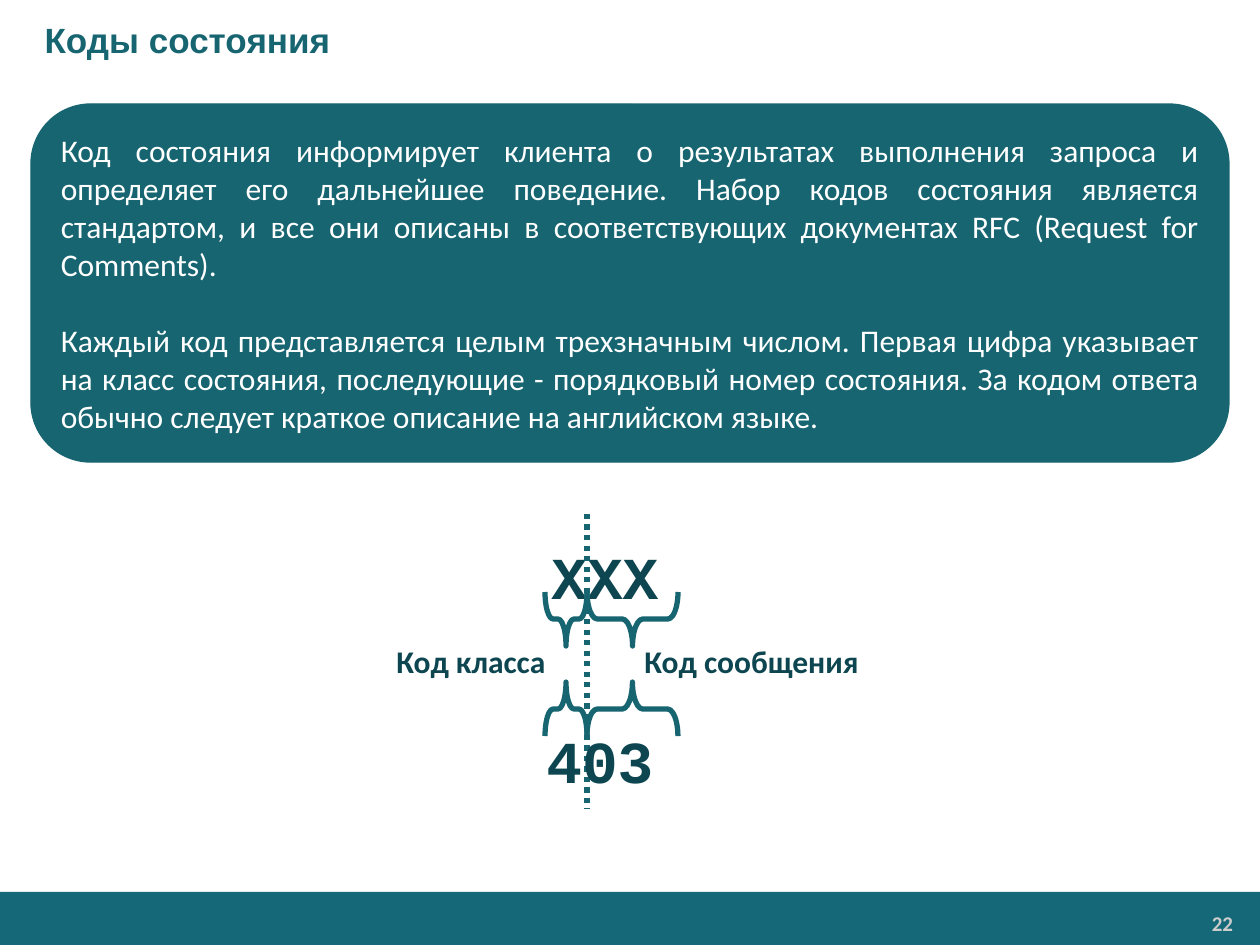
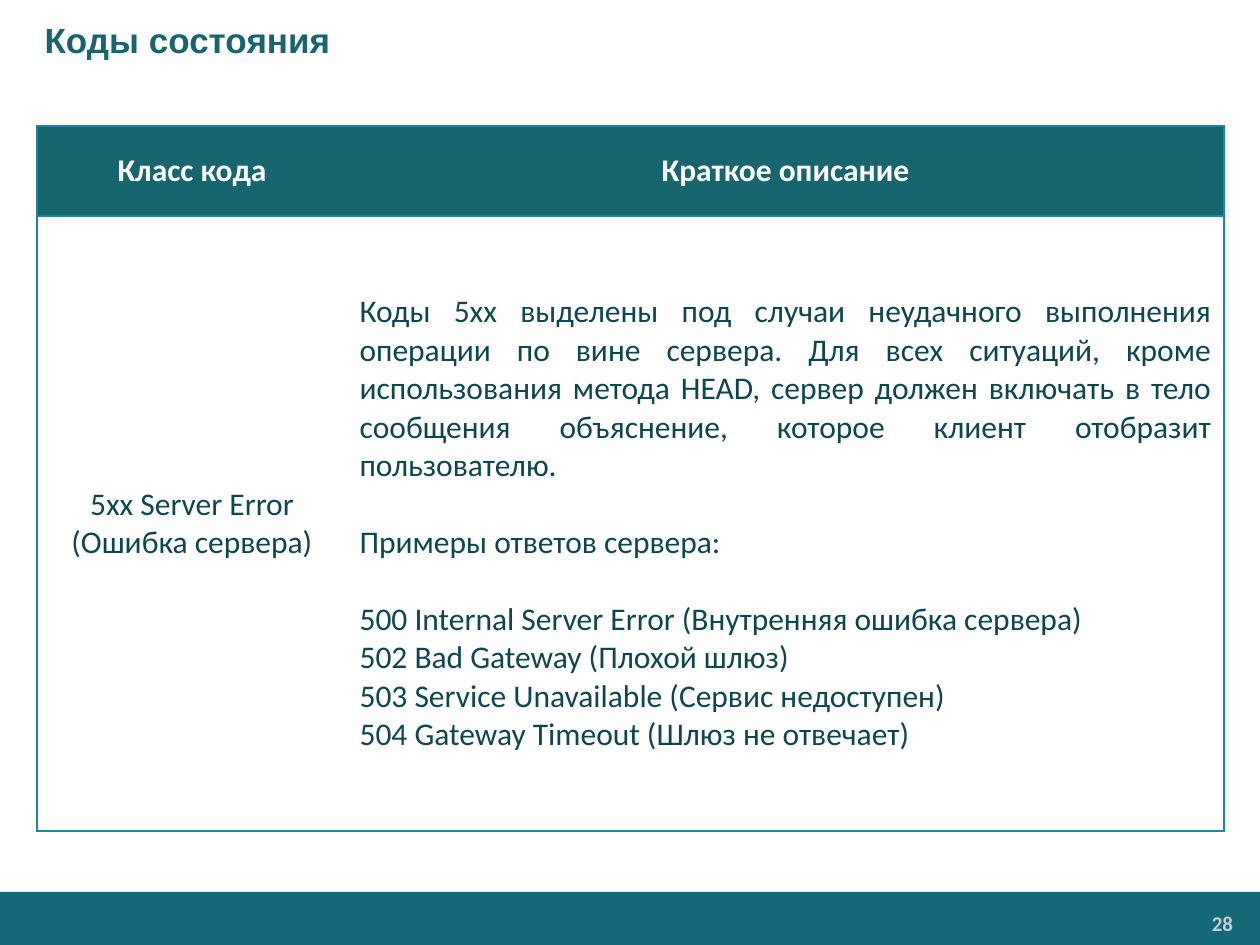
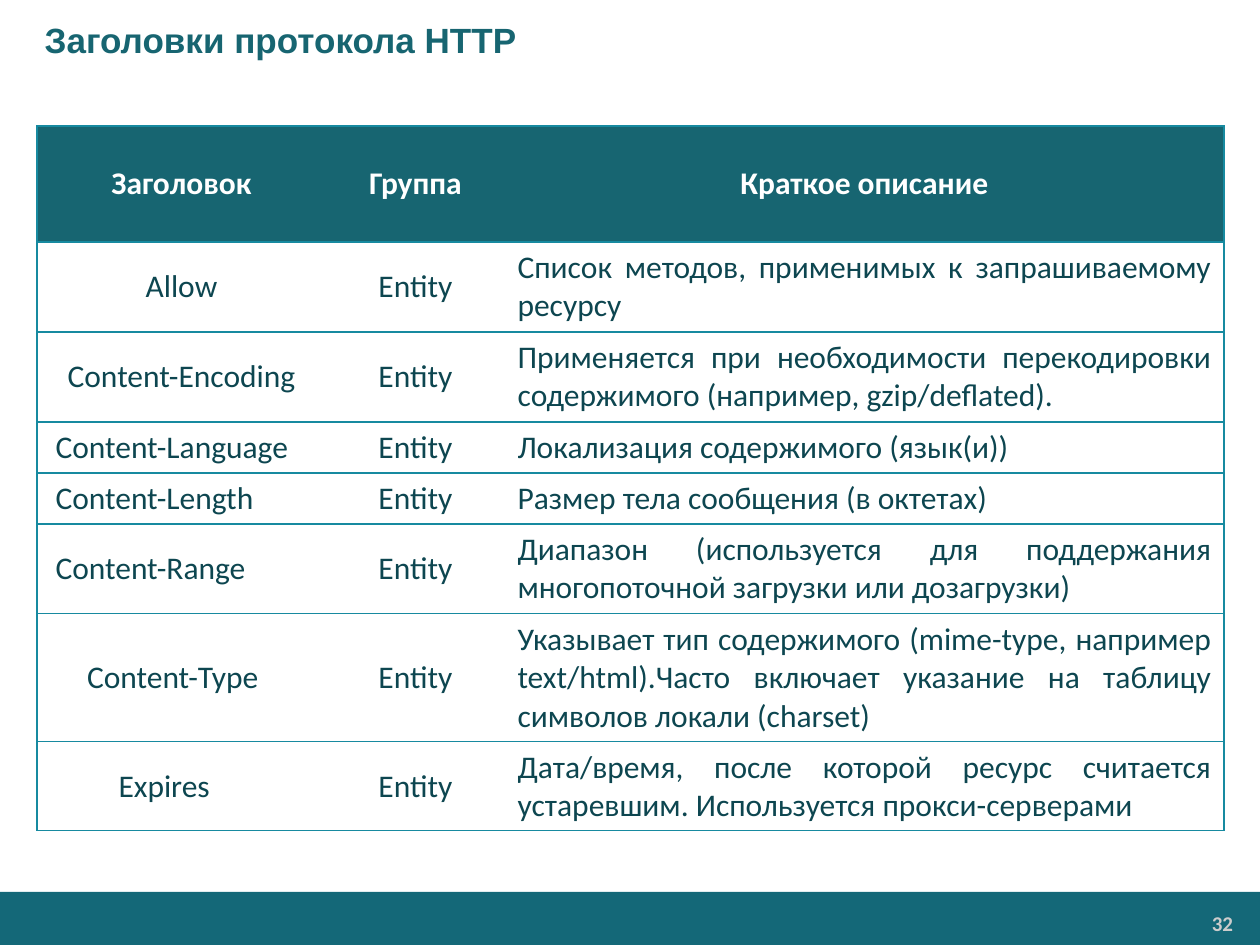
from lxml import etree
from pptx import Presentation
from pptx.dml.color import RGBColor
from pptx.enum.dml import MSO_LINE
from pptx.enum.shapes import MSO_CONNECTOR, MSO_SHAPE
from pptx.enum.text import MSO_ANCHOR, MSO_AUTO_SIZE, PP_ALIGN
from pptx.oxml.ns import qn
from pptx.util import Emu, Pt

COLORS = {
    "band": "146878", "teal": "176571", "ink": "0D4650",
    "rule": "178AA0", "number": "CCCCCC", "white": "FFFFFF",
}
# Font, size in points, colour, bold
TITLE = ("Arial", 20, "teal", True)
NUMBER = ("Calibri", 12, "number", True)
PANEL = ("Calibri", 18, "white", False)
HEADER = ("Calibri", 18, "white", True)
BODY = ("Calibri", 18, "ink", False)
LABEL = ("Calibri", 18, "ink", True)
CODE = ("Courier New", 34, "ink", True)
BLOCK_GAP = Pt(22)

SLIDE_WIDTH, SLIDE_HEIGHT = 1260, 945
TABLE_LEFT, TABLE_TOP = 37, 126

STATUS_INTRO = (
    "Код состояния информирует клиента о результатах выполнения запроса и определяет его "
    "дальнейшее поведение. Набор кодов состояния является стандартом, и все они описаны в "
    "соответствующих документах RFC (Request for Comments).",
    "Каждый код представляется целым трехзначным числом. Первая цифра указывает на класс "
    "состояния, последующие - порядковый номер состояния. За кодом ответа обычно следует "
    "краткое описание на английском языке.",
)
CODE_PATTERN = ("XXX", (539, 534, 142, 84))
CODE_EXAMPLE = ("403", (534, 718, 142, 84))
DIGIT_LABELS = [
    ("Код класса", (384, 636, 175, 50)),
    ("Код сообщения", (632, 636, 243, 50)),
]
DIGIT_SPANS = [(545, 42), (587, 91)]  # left, width
BRACE_ROWS = [(619, 90), (709, 270)]  # centre, rotation
BRACE_DEPTH = 54
DIVIDER = (587, 514, 809)  # x, top, bottom

SERVER_ERRORS = {
    "columns": (310, 877),
    "rows": (90, 615),
    "cells": [
        ("Класс кода", "Краткое описание"),
        ("5xx Server Error (Ошибка сервера)", (
            "Коды 5xx выделены под случаи неудачного выполнения операции по вине сервера. "
            "Для всех ситуаций, кроме использования метода HEAD, сервер должен включать в "
            "тело сообщения объяснение, которое клиент отобразит пользователю.",
            "Примеры ответов сервера:",
            "500 Internal Server Error (Внутренняя ошибка сервера)\n"
            "502 Bad Gateway (Плохой шлюз)\n"
            "503 Service Unavailable (Сервис недоступен)\n"
            "504 Gateway Timeout (Шлюз не отвечает)",
        )),
    ],
}
HTTP_HEADERS = {
    "columns": (289, 179, 719),
    "rows": (116, 90, 90, 51, 51, 90, 128, 89),
    "cells": [
        ("Заголовок", "Группа", "Краткое описание"),
        ("Allow", "Entity", "Список методов, применимых к запрашиваемому ресурсу"),
        ("Content-Encoding", "Entity",
         "Применяется при необходимости перекодировки содержимого "
         "(например, gzip/deflated)."),
        ("Content-Language\t", "Entity", "Локализация содержимого (язык(и))"),
        ("Content-Length\t", "Entity", "Размер тела сообщения (в октетах)"),
        ("Content-Range\t", "Entity",
         "Диапазон (используется для поддержания многопоточной загрузки или дозагрузки)"),
        ("Content-Type\t", "Entity",
         "Указывает тип содержимого (mime-type, например text/html).Часто включает "
         "указание на таблицу символов локали (charset)"),
        ("Expires\t", "Entity",
         "Дата/время, после которой ресурс считается устаревшим. "
         "Используется прокси-серверами"),
    ],
}


def px(length):
    return Emu(round(length * 914400 / 126))


def box_emu(box):
    return [px(length) for length in box]


def rgb(name):
    return RGBColor.from_string(COLORS[name])


def write_text(frame, blocks, look, align=PP_ALIGN.LEFT):
    """Write one block or a tuple of blocks; a gap parts blocks, a newline parts lines."""
    if isinstance(blocks, str):
        blocks = (blocks,)
    lines = [(line, block > 0 and row == 0)
             for block, text in enumerate(blocks)
             for row, line in enumerate(text.split("\n"))]
    frame.text = "\n".join(line for line, _ in lines)
    font_name, size, color, bold = look
    for paragraph, (_, opens_block) in zip(frame.paragraphs, lines):
        paragraph.alignment = align
        if opens_block:
            paragraph.space_before = BLOCK_GAP
        for run in paragraph.runs:
            run.font.name = font_name
            run.font.size = Pt(size)
            run.font.bold = bold
            run.font.color.rgb = rgb(color)


def add_text(shapes, text, box, look, align=PP_ALIGN.LEFT, wrap=True):
    frame = shapes.add_textbox(*box_emu(box)).text_frame
    frame.word_wrap = wrap
    frame.auto_size = MSO_AUTO_SIZE.SHAPE_TO_FIT_TEXT
    write_text(frame, text, look, align)
    return frame


def add_filled(shapes, preset, box, color):
    shape = shapes.add_shape(preset, *box_emu(box))
    shape.shadow.inherit = False
    shape.fill.solid()
    shape.fill.fore_color.rgb = rgb(color)
    shape.line.fill.background()
    return shape


def add_page(deck, title, number):
    slide = deck.slides.add_slide(deck.slide_layouts[5])
    add_filled(slide.shapes, MSO_SHAPE.RECTANGLE, (0, 892, SLIDE_WIDTH, 53), "band")
    page = add_text(slide.shapes, str(number), (1037, 906, 205, 35), NUMBER, PP_ALIGN.RIGHT)
    page.margin_left = page.margin_right = px(9)
    page.margin_top = page.margin_bottom = px(5)

    heading = slide.shapes.title
    heading.left, heading.top, heading.width, heading.height = box_emu((0, 0, SLIDE_WIDTH, 79))
    frame = heading.text_frame
    frame.vertical_anchor = MSO_ANCHOR.MIDDLE
    write_text(frame, title, TITLE)
    indent = frame.paragraphs[0]._p.get_or_add_pPr()
    indent.set("marL", str(px(32)))
    indent.set("indent", "0")
    return slide


def style_line(line):
    line.color.rgb = rgb("teal")
    line.width = Pt(3)


def add_code_diagram(slide):
    shapes = slide.shapes.add_group_shape().shapes
    add_text(shapes, *CODE_PATTERN, CODE, PP_ALIGN.JUSTIFY)
    for centre, rotation in BRACE_ROWS:
        for left, width in DIGIT_SPANS:
            # The frame is given unrotated, so depth and span change places.
            brace = shapes.add_shape(MSO_SHAPE.RIGHT_BRACE, *box_emu((
                left + (width - BRACE_DEPTH) / 2, centre - width / 2, BRACE_DEPTH, width)))
            brace.rotation = rotation
            brace.adjustments[0] = 0.19
            brace.shadow.inherit = False
            brace.fill.background()
            style_line(brace.line)
    x, top, bottom = DIVIDER
    divider = shapes.add_connector(MSO_CONNECTOR.STRAIGHT, *box_emu((x, top, x, bottom)))
    style_line(divider.line)
    divider.line.dash_style = MSO_LINE.ROUND_DOT
    etree.SubElement(divider.element.spPr, qn("a:effectLst"))
    for label, box in DIGIT_LABELS:
        add_text(shapes, label, box, LABEL, wrap=False)
    add_text(shapes, *CODE_EXAMPLE, CODE, PP_ALIGN.JUSTIFY)


def set_borders(cell, ruled_sides):
    properties = cell._tc.get_or_add_tcPr()
    for side in "LRTB":
        border = etree.SubElement(properties, qn(f"a:ln{side}"), w=str(Pt(0.75)))
        if side in ruled_sides:
            fill = etree.SubElement(border, qn("a:solidFill"))
            etree.SubElement(fill, qn("a:srgbClr"), val=COLORS["rule"])
        else:
            etree.SubElement(border, qn("a:noFill"))


def add_ruled_table(slide, content):
    """Draw a table with a solid header, rules between rows and none between columns."""
    widths, heights = content["columns"], content["rows"]
    table = slide.shapes.add_table(
        len(heights), len(widths),
        *box_emu((TABLE_LEFT, TABLE_TOP, sum(widths), sum(heights)))).table
    table.first_row = table.horz_banding = False
    for column, width in zip(table.columns, widths):
        column.width = px(width)
    last = len(widths) - 1
    for r, (row, height) in enumerate(zip(table.rows, heights)):
        row.height = px(height)
        for c, cell in enumerate(row.cells):
            set_borders(cell, "TB" + "L" * (c == 0) + "R" * (c == last))
            if r == 0:
                cell.fill.solid()
                cell.fill.fore_color.rgb = rgb("teal")
            else:
                cell.fill.background()
            cell.vertical_anchor = MSO_ANCHOR.MIDDLE
            align = PP_ALIGN.JUSTIFY if r and c == last else PP_ALIGN.CENTER
            write_text(cell.text_frame, content["cells"][r][c], BODY if r else HEADER, align)


def main():
    deck = Presentation()
    deck.slide_width, deck.slide_height = px(SLIDE_WIDTH), px(SLIDE_HEIGHT)

    status = add_page(deck, "Коды состояния", 22)
    panel = add_filled(status.shapes, MSO_SHAPE.ROUNDED_RECTANGLE, (31, 104, 1198, 358), "teal")
    panel.line.color.rgb = rgb("teal")
    panel.line.width = Pt(0.75)
    panel.text_frame.word_wrap = True
    panel.text_frame.vertical_anchor = MSO_ANCHOR.MIDDLE
    write_text(panel.text_frame, STATUS_INTRO, PANEL, PP_ALIGN.JUSTIFY)
    add_code_diagram(status)

    add_ruled_table(add_page(deck, "Коды состояния", 28), SERVER_ERRORS)
    add_ruled_table(add_page(deck, "Заголовки протокола HTTP", 32), HTTP_HEADERS)
    deck.save("out.pptx")


if __name__ == "__main__":
    main()
